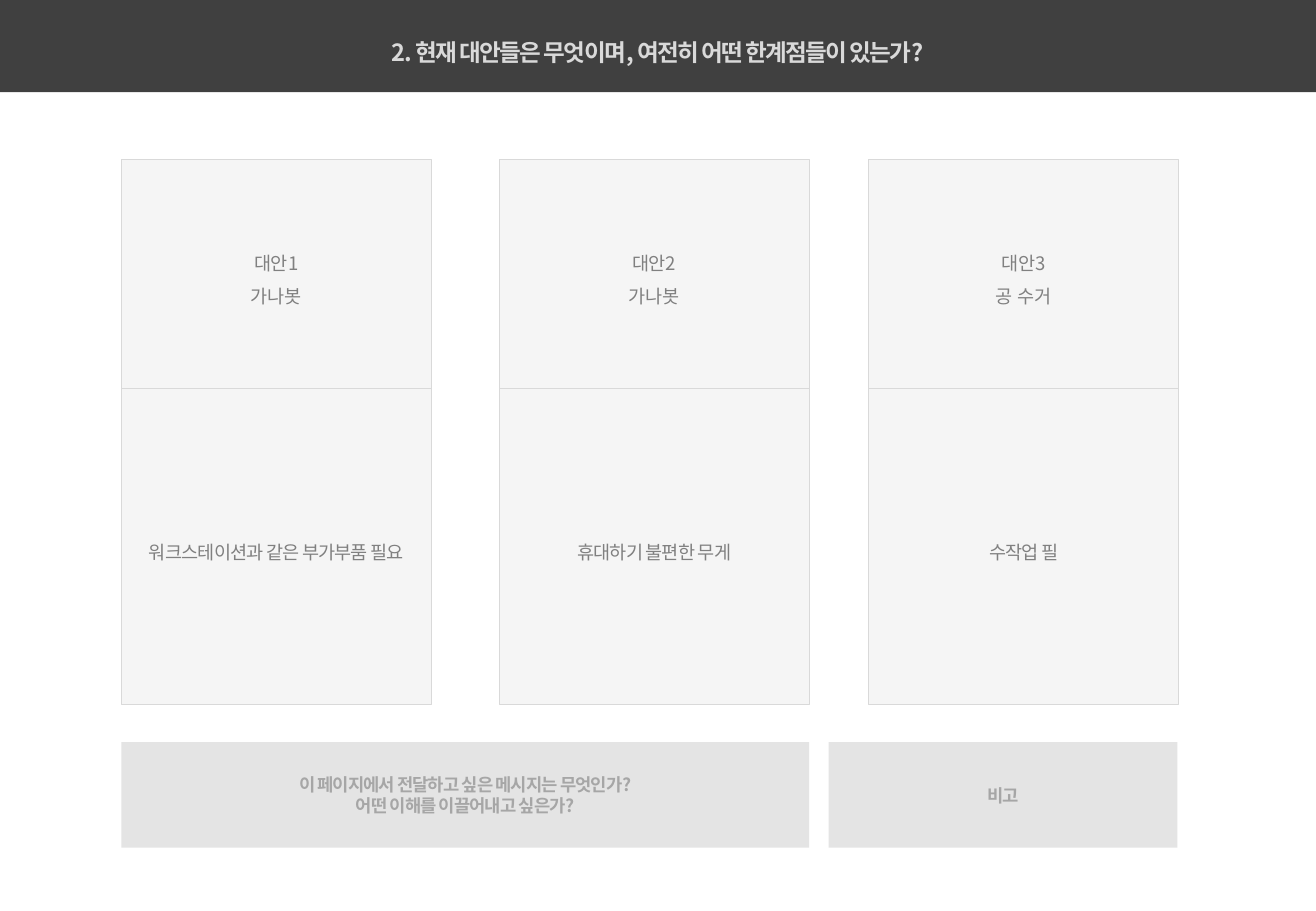
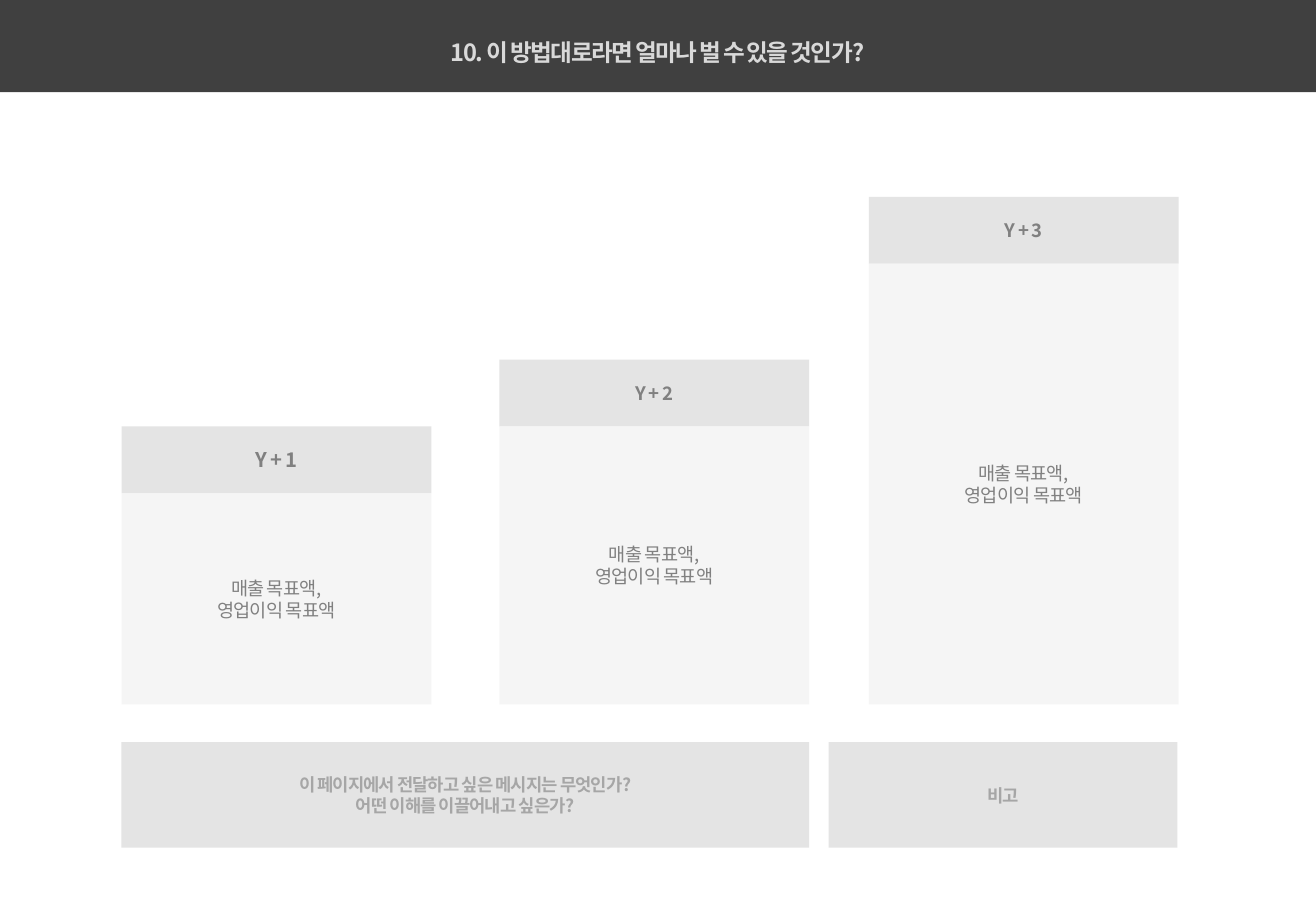
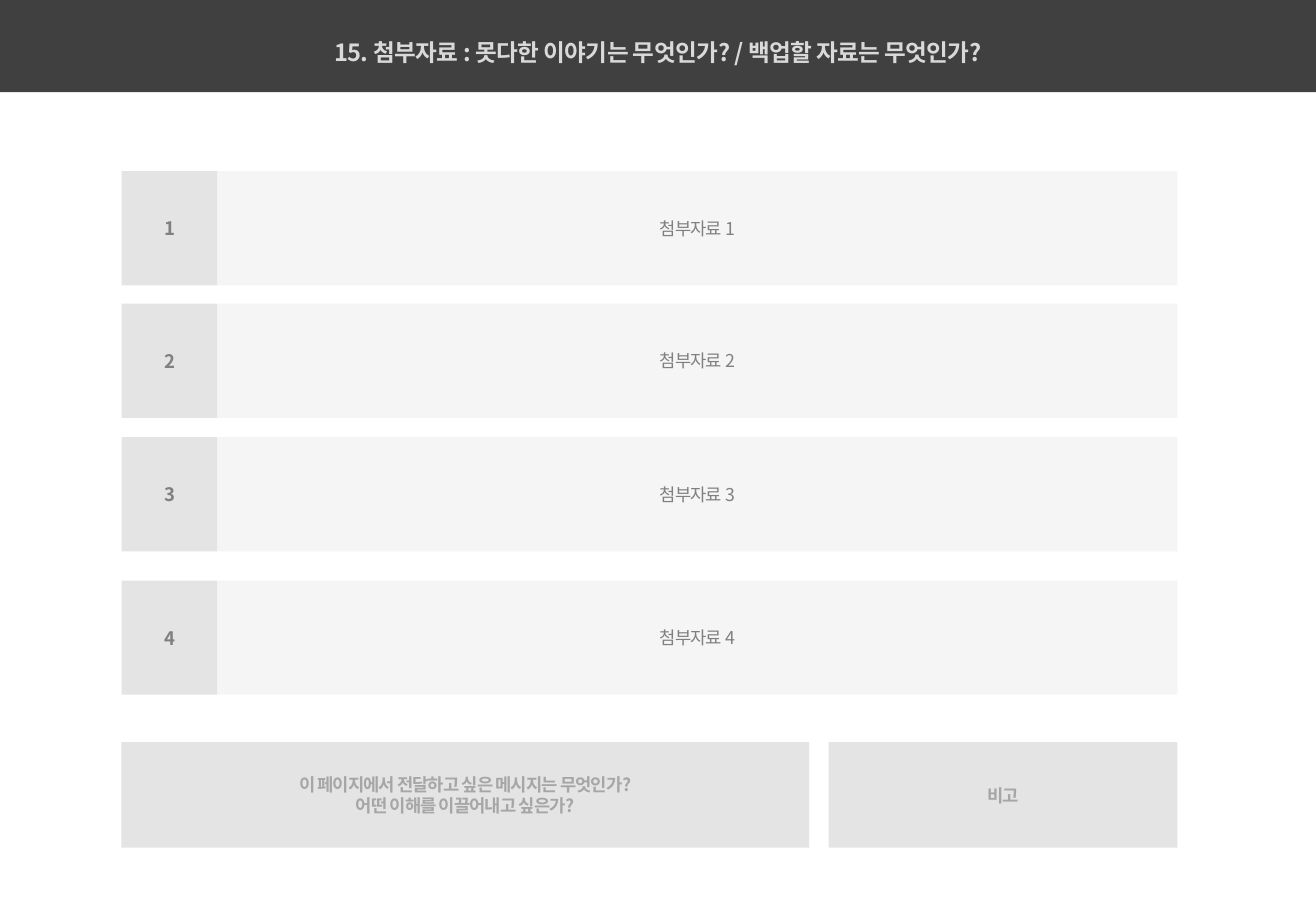
from lxml.etree import SubElement
from pptx import Presentation
from pptx.dml.color import RGBColor
from pptx.enum.shapes import MSO_SHAPE as SHAPE
from pptx.enum.text import MSO_ANCHOR as ANCHOR, MSO_AUTO_SIZE as AUTO_SIZE, PP_ALIGN as ALIGN
from pptx.oxml.ns import qn
from pptx.util import Emu, Pt

PX = 9144  # 100 px to the inch
FONT = "Noto Sans CJK KR"
COLOURS = {
    "band": "404040",
    "title": "D9D9D9",
    "head": "D9D9D9",
    "body": "F2F2F2",
    "border": "D9D9D9",
    "text": "808080",
    "footer": "A6A6A6",
}
PAGE_WIDTH, PAGE_HEIGHT = 1083, 750
BAND_HEIGHT = 76
LEFT, RIGHT = 100, 969
COLUMN_LEFTS, COLUMN_WIDTH = (100, 411, 715), 255
COLUMN_BOTTOM = 580
FOOTER_TOP, FOOTER_HEIGHT = 611, 87
FOOTERS = [
    (LEFT, 566, ["이 페이지에서 전달하고 싶은 메시지는 무엇인가?", "어떤 이해를 이끌어내고 싶은가?"]),
    (682, 287, ["비고"]),
]


def write(frame, lines, size, colour, bold=False, tracking=-50, leading=1.0):
    """Fill a text frame, one centred paragraph a line; tracking is in 1/100 pt."""
    frame.text = "\n".join(lines)
    for paragraph in frame.paragraphs:
        paragraph.alignment = ALIGN.CENTER
        paragraph.line_spacing = leading
        font = paragraph.font
        font.size, font.bold, font.name = Pt(size), bold, FONT
        font.color.rgb = RGBColor.from_string(COLOURS[colour])
        font._rPr.set("spc", str(tracking))
        SubElement(font._rPr, qn("a:ea")).set("typeface", FONT)


def add_box(page, left, top, width, height, fill, opacity=70):
    box = page.shapes.add_shape(SHAPE.RECTANGLE, *(Emu(n * PX) for n in (left, top, width, height)))
    box.shadow.inherit = False
    box.line.fill.background()
    box.fill.solid()
    box.fill.fore_color.rgb = RGBColor.from_string(COLOURS[fill])
    if opacity < 100:
        colour = box.fill._xPr.find(qn("a:solidFill"))[0]
        SubElement(colour, qn("a:alpha")).set("val", str(opacity * 1000))
    frame = box.text_frame
    frame.margin_left = frame.margin_top = frame.margin_right = frame.margin_bottom = 0
    frame.vertical_anchor = ANCHOR.MIDDLE
    frame.word_wrap = False
    return box


deck = Presentation()
deck.slide_width, deck.slide_height = Emu(PAGE_WIDTH * PX), Emu(PAGE_HEIGHT * PX)

# Title, band and footers of every slide
pages = []
for heading, tracking in [
    ("2. 현재 대안들은 무엇이며, 여전히 어떤 한계점들이 있는가?", -100),
    ("10. 이 방법대로라면 얼마나 벌 수 있을 것인가?", -100),
    ("15. 첨부자료 : 못다한 이야기는 무엇인가? / 백업할 자료는 무엇인가?", -40),
]:
    page = deck.slides.add_slide(deck.slide_layouts[5])
    add_box(page, 0, 0, PAGE_WIDTH, BAND_HEIGHT, "band", opacity=100)
    title = page.shapes.title
    page.shapes.element.append(title.element)  # in front of the band
    title.left, title.top = 0, Emu(26 * PX)
    title.width, title.height = Emu(PAGE_WIDTH * PX), Emu(33 * PX)
    title.text_frame.auto_size = AUTO_SIZE.NONE
    title.text_frame.vertical_anchor = ANCHOR.TOP
    write(title.text_frame, [heading], 14, "title", bold=True, tracking=tracking)
    for left, width, lines in FOOTERS:
        footer = add_box(page, left, FOOTER_TOP, width, FOOTER_HEIGHT, "head")
        write(footer.text_frame, lines, 10.5, "footer", bold=True)
    pages.append(page)
alternatives_page, revenue_page, appendix_page = pages

# Alternatives and their limits
CARD_TOP, CARD_SPLIT = 131, 320
alternatives = [
    ("가나봇", "워크스테이션과 같은 부가부품 필요"),
    ("가나봇", "휴대하기 불편한 무게"),
    ("공 수거", "수작업 필"),
]
for number, (left, (name, limit)) in enumerate(zip(COLUMN_LEFTS, alternatives), 1):
    for top, bottom, lines in [
        (CARD_TOP, CARD_SPLIT, [f"대안{number}", name]),
        (CARD_SPLIT, COLUMN_BOTTOM, [limit]),
    ]:
        card = add_box(alternatives_page, left, top, COLUMN_WIDTH, bottom - top, "body")
        card.line.color.rgb = RGBColor.from_string(COLOURS["border"])
        card.line.width = Pt(0.5)
        write(card.text_frame, lines, 11, "text", leading=1.5)
        for paragraph in card.text_frame.paragraphs[1:]:
            paragraph.font._rPr.set("spc", "0")

# Yearly targets as rising columns
HEAD_HEIGHT = 55
for year, (left, top, size) in enumerate(zip(COLUMN_LEFTS, (351, 296, 162), (12, 11, 11)), 1):
    head = add_box(revenue_page, left, top, COLUMN_WIDTH, HEAD_HEIGHT, "head")
    write(head.text_frame, [f"Y + {year}"], size, "text", bold=True)
    body_top = top + HEAD_HEIGHT
    body = add_box(revenue_page, left, body_top, COLUMN_WIDTH, COLUMN_BOTTOM - body_top, "body")
    write(body.text_frame, ["매출 목표액,", "영업이익 목표액"], 11, "text")

# Appendix rows
ROW_HEIGHT, NUMBER_WIDTH = 94, 79
for number, top in enumerate((141, 250, 360, 478), 1):
    label = add_box(appendix_page, LEFT, top, NUMBER_WIDTH, ROW_HEIGHT, "head")
    write(label.text_frame, [str(number)], 11, "text", bold=True)
    row_left = LEFT + NUMBER_WIDTH
    row = add_box(appendix_page, row_left, top, RIGHT - row_left, ROW_HEIGHT, "body")
    write(row.text_frame, [f"첨부자료 {number}"], 10.5, "text")

deck.save("out.pptx")
